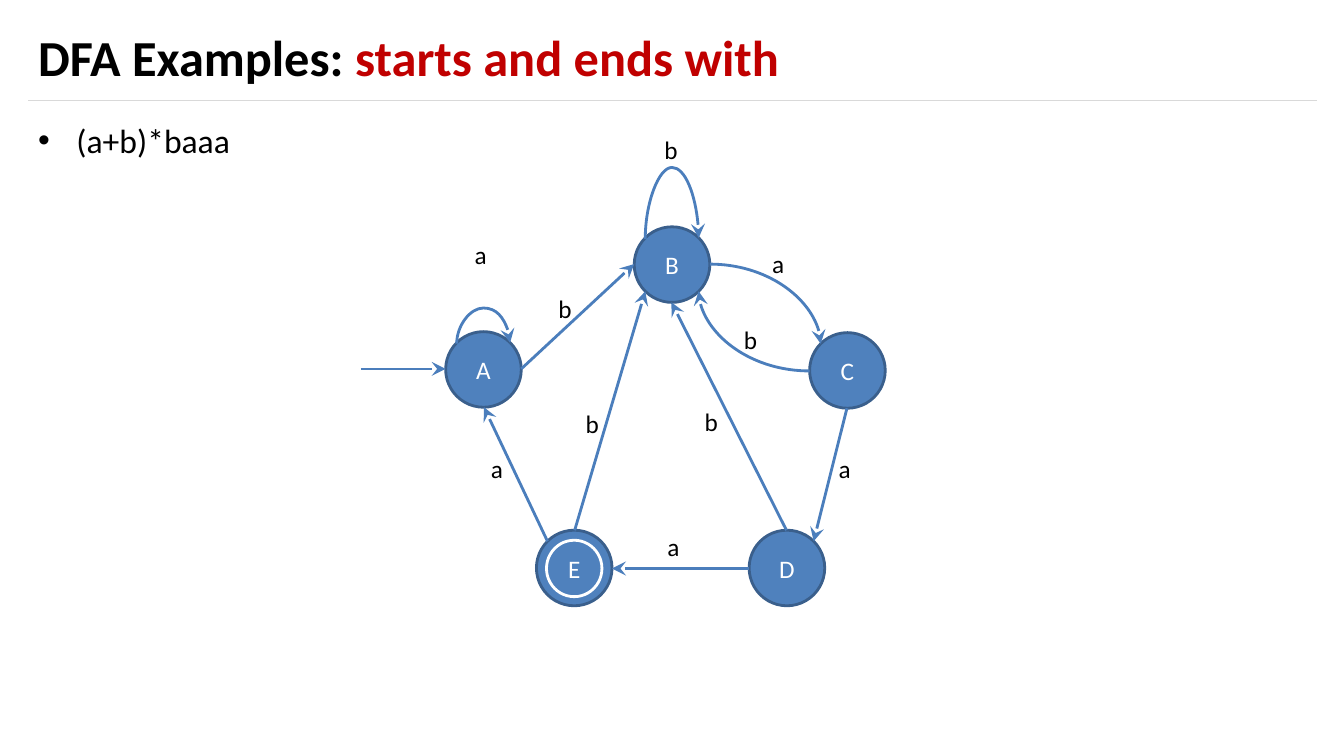
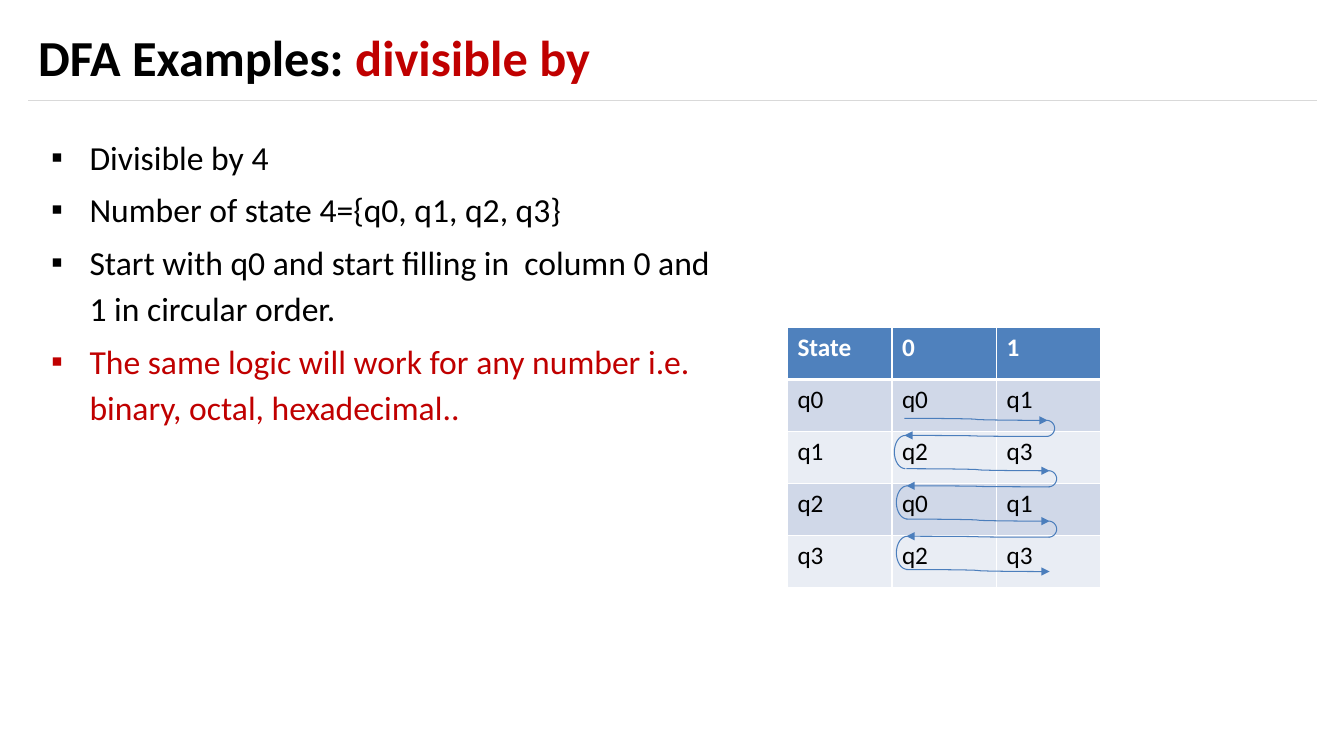
import math
from dataclasses import dataclass

import lxml.etree
import pptx
import pptx.dml.color
import pptx.enum.shapes
import pptx.enum.text
import pptx.oxml.ns
import pptx.util

qn = pptx.oxml.ns.qn
ConnectorType = pptx.enum.shapes.MSO_CONNECTOR
Anchor = pptx.enum.text.MSO_ANCHOR


@dataclass(frozen=True)
class Theme:
    font: str = "Calibri"
    black: str = "000000"
    white: str = "FFFFFF"
    accent: str = "C00000"
    rule: str = "D9D9D9"
    node: str = "4F81BD"
    node_border: str = "3A5F8C"
    arrow: str = "4B7EBC"
    bands: tuple = ("D0D8E8", "E9EDF4")
    title_size: int = 36
    body_size: int = 24
    small_size: int = 18
    thin: float = 0.75
    thick: float = 2


def px(value):
    return pptx.util.Emu(round(value * 9144))


def rgb(value):
    return pptx.dml.color.RGBColor.from_string(value)


def add_xml(parent, tag, **attributes):
    return lxml.etree.SubElement(parent, qn(tag), attributes)


def site_point(node, site):
    angle = math.radians(90 + 45 * site)
    radius = node.width / 2
    return (round((node.left + radius + radius * math.cos(angle)) / 9144),
            round((node.top + radius - radius * math.sin(angle)) / 9144))


class Deck:
    def __init__(self, theme):
        self.theme = theme
        self.presentation = pptx.Presentation()
        self.presentation.slide_width = px(1333)
        self.presentation.slide_height = px(750)
        self.slide = None

    def add_slide(self, topic):
        theme = self.theme
        self.slide = self.presentation.slides.add_slide(self.presentation.slide_layouts[6])
        self.line((28, 100), (1306, 100), theme.rule, theme.thin)
        title = self.text((28, 12, 1278, 88), "DFA Examples: ", theme.title_size, theme.black,
                          bold=True, anchor=Anchor.MIDDLE)
        run = title.paragraphs[0].add_run()
        run.text = topic
        self.format(run, theme.title_size, theme.accent, True)

    def format(self, run, size, color, bold=False):
        run.font.name = self.theme.font
        run.font.size = pptx.util.Pt(size)
        run.font.bold = bold
        run.font.color.rgb = rgb(color)

    def text(self, box, text, size, color, bold=False, anchor=Anchor.TOP, wrap=True):
        shape = self.slide.shapes.add_textbox(*map(px, box))
        frame = shape.text_frame
        frame.word_wrap = wrap
        frame.vertical_anchor = anchor
        frame.text = text
        for paragraph in frame.paragraphs:
            for run in paragraph.runs:
                self.format(run, size, color, bold)
        return frame

    def label(self, text, left, top):
        self.text((left, top, 31, 40), text, self.theme.small_size, self.theme.black, wrap=False)

    def bullets(self, box, items, mark):
        frame = self.text(box, "\n".join(items), self.theme.body_size, self.theme.black)
        for index, paragraph in enumerate(frame.paragraphs):
            properties = paragraph._p.get_or_add_pPr()
            properties.set("marL", str(px(38)))
            properties.set("indent", str(px(-38)))
            add_xml(properties, "a:buFont", typeface="Arial")
            add_xml(properties, "a:buChar", char=mark)
            paragraph.line_spacing = 1.14
            if index:
                paragraph.space_before = pptx.util.Pt(4.8)
        return frame

    def outline(self, shape, color, width):
        shape.line.color.rgb = rgb(color)
        shape.line.width = pptx.util.Pt(width)

    def line(self, start, end, color, width, head=None, head_size="med",
             kind=ConnectorType.STRAIGHT):
        connector = self.slide.shapes.add_connector(kind, *map(px, start + end))
        self.outline(connector, color, width)
        properties = connector.element.spPr
        if head:
            add_xml(properties.find(qn("a:ln")), "a:tailEnd", type=head, w=head_size,
                    len=head_size)
        add_xml(properties, "a:effectLst")
        return connector

    def ellipse(self, box, border, fill=None):
        shape = self.slide.shapes.add_shape(pptx.enum.shapes.MSO_SHAPE.OVAL, *map(px, box))
        shape.shadow.inherit = False
        self.outline(shape, border, self.theme.thick)
        if fill:
            shape.fill.solid()
            shape.fill.fore_color.rgb = rgb(fill)
        else:
            shape.fill.background()
        return shape

    def node(self, name, left, top):
        shape = self.ellipse((left, top, 75, 75), self.theme.node_border, self.theme.node)
        frame = shape.text_frame
        frame.text = name
        frame.vertical_anchor = Anchor.MIDDLE
        frame.paragraphs[0].alignment = pptx.enum.text.PP_ALIGN.CENTER
        self.format(frame.paragraphs[0].runs[0], self.theme.small_size, self.theme.white)
        return shape

    def arrow(self, start, end, kind=ConnectorType.STRAIGHT):
        return self.line(start, end, self.theme.arrow, self.theme.thick, "stealth", "lg", kind)

    def glue(self, connector, source, source_site, target, target_site):
        ends = connector.element.find(".//" + qn("p:cNvCxnSpPr"))
        add_xml(ends, "a:stCxn", id=str(source.shape_id), idx=str(source_site))
        add_xml(ends, "a:endCxn", id=str(target.shape_id), idx=str(target_site))

    def edge(self, source, source_site, target, target_site, curved=False):
        kind = ConnectorType.CURVE if curved else ConnectorType.STRAIGHT
        connector = self.arrow(site_point(source, source_site),
                               site_point(target, target_site), kind)
        if curved:
            connector.element.spPr.find(qn("a:prstGeom")).set("prst", "curvedConnector2")
        self.glue(connector, source, source_site, target, target_site)

    def loop(self, node, height):
        left, top = site_point(node, 1)
        right = site_point(node, 7)[0]
        middle, span = (left + right) // 2, right - left
        start_y = top - span // 2
        connector = self.arrow((middle, start_y), (middle + 1, start_y + span),
                               ConnectorType.CURVE)
        properties = connector.element.spPr
        transform = properties.find(qn("a:xfrm"))
        for name, value in (("rot", "5400000"), ("flipH", "1"), ("flipV", "1")):
            transform.set(name, value)
        add_xml(properties.find(".//" + qn("a:avLst")), "a:gd", name="adj1",
                fmla=f"val {height * 100000}")
        self.glue(connector, node, 1, node, 7)

    def hook(self, left, top, bulge, height):
        radius = height / 2
        angles = [math.pi * step / 16 for step in range(17)]
        points = [(px(left + bulge * math.sin(angle)),
                   px(top + radius - radius * math.cos(angle))) for angle in angles]
        builder = self.slide.shapes.build_freeform(*points[0])
        builder.add_line_segments(points[1:], close=False)
        shape = builder.convert_to_shape()
        shape.shadow.inherit = False
        shape.fill.background()
        self.outline(shape, self.theme.arrow, self.theme.thin)

    def sweep(self, start, end):
        self.line(start, end, self.theme.arrow, self.theme.thin, "triangle",
                  kind=ConnectorType.CURVE)

    def cell(self, cell, text, fill, color, header):
        cell.text = text
        self.format(cell.text_frame.paragraphs[0].runs[0], self.theme.small_size, color, header)
        properties = cell._tc.get_or_add_tcPr()
        for side in "LRTB":
            width = 3 if header and side == "B" else 1
            border = add_xml(properties, f"a:ln{side}", w=str(pptx.util.Pt(width)))
            add_xml(add_xml(border, "a:solidFill"), "a:srgbClr", val=self.theme.white)
        cell.fill.solid()
        cell.fill.fore_color.rgb = rgb(fill)

    def table(self, box, rows):
        theme = self.theme
        table = self.slide.shapes.add_table(len(rows), len(rows[0]), *map(px, box)).table
        for row, values in enumerate(rows):
            header = row == 0
            fill = theme.node if header else theme.bands[(row - 1) % 2]
            color = theme.white if header else theme.black
            for column, value in enumerate(values):
                self.cell(table.cell(row, column), value, fill, color, header)


def build_automaton(deck):
    deck.add_slide("starts and ends with")
    deck.bullets((28, 108, 1278, 583), ["(a+b)*baaa"], "•")
    places = {"A": (442, 329), "B": (629, 225), "C": (803, 330), "D": (743, 526), "E": (532, 526)}
    nodes = {name: deck.node(name, *place) for name, place in places.items()}
    deck.ellipse((542, 536, 55, 56), deck.theme.white)
    entry = site_point(nodes["A"], 2)
    deck.arrow((358, entry[1]), entry)
    for source, source_site, target, target_site, curved in (
            ("A", 6, "B", 2, False), ("B", 6, "C", 1, True), ("C", 2, "B", 5, True),
            ("C", 4, "D", 7, False), ("D", 2, "E", 6, False), ("D", 0, "B", 4, False),
            ("E", 0, "B", 3, False), ("E", 1, "A", 4, False)):
        deck.edge(nodes[source], source_site, nodes[target], target_site, curved)
    deck.loop(nodes["A"], 36)
    deck.loop(nodes["B"], 72)
    labels = {
        "a": ((477, 445), (461, 233), (652, 522), (822, 445), (756, 241)),
        "b": ((544, 286), (649, 128), (728, 317), (689, 398), (571, 400)),
    }
    for letter, spots in labels.items():
        for left, top in spots:
            deck.label(letter, left, top)


def build_divisibility(deck):
    deck.add_slide("divisible by")
    frame = deck.bullets((41, 125, 676, 583), [
        "Divisible by 4",
        "Number of state 4={q0, q1, q2, q3}",
        "Start with q0 and start filling in  column 0 and 1 in circular order.",
        "The same logic will work for any number i.e. binary, octal, hexadecimal..",
    ], "▪")
    deck.format(frame.paragraphs[-1].runs[0], deck.theme.body_size, deck.theme.accent)
    states = [[f"q{row}", f"q{2 * row % 4}", f"q{(2 * row + 1) % 4}"] for row in range(4)]
    deck.table((781, 325, 311, 258), [["State", "0", "1"]] + states)
    for row in range(4):
        left, top = 899 if row else 897, 415 + 50 * row
        right = left + 142
        deck.sweep((left, top), (right, top + 2))
        if row < 3:
            deck.hook(right - 1, top + 2, 8, 16)
            deck.sweep((right, top + 18), (left, top + 17))
            deck.hook(left + 1, top + 17, -11, 33)


def main():
    deck = Deck(Theme())
    build_automaton(deck)
    build_divisibility(deck)
    deck.presentation.save("out.pptx")


if __name__ == "__main__":
    main()
